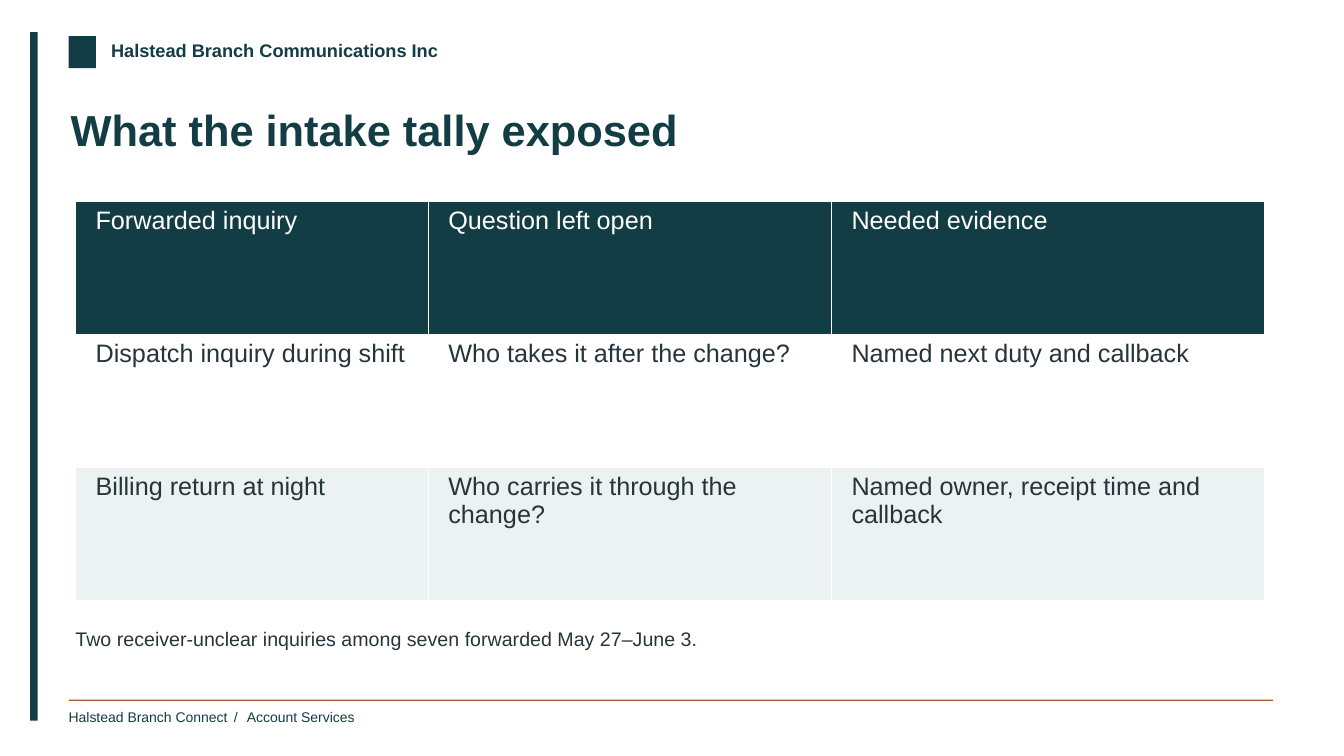
"""Build the intake tally slide with its letterhead, evidence table and footnote."""
from dataclasses import dataclass

import lxml.etree
import pptx
import pptx.dml.color
import pptx.enum.shapes
import pptx.enum.text
import pptx.oxml.ns
import pptx.util

Cm = pptx.util.Cm

COLOURS = {
    "teal": "133D45",
    "rust": "AF5636",
    "ink": "26353B",
    "white": "FFFFFF",
    "mist": "EBF2F1",
}
SEPARATOR = " / "
SEPARATOR_SPACING = "185"


@dataclass(frozen=True)
class Box:
    left: float
    top: float
    width: float
    height: float

    def lengths(self) -> tuple:
        return Cm(self.left), Cm(self.top), Cm(self.width), Cm(self.height)


@dataclass(frozen=True)
class Bar:
    box: Box
    colour: str


@dataclass(frozen=True)
class Wording:
    text: str
    size: int
    colour: str
    bold: bool = False


@dataclass(frozen=True)
class Label:
    box: Box
    wording: Wording


@dataclass(frozen=True)
class RowStyle:
    fill: str
    text: str


BARS = [
    Bar(Box(0.76, 0.81, 0.19, 17.35), "teal"),
    Bar(Box(1.73, 0.91, 0.69, 0.81), "teal"),
    Bar(Box(1.73, 17.63, 30.35, 0.03), "rust"),
]

LABELS = [
    Label(Box(2.8, 0.98, 9.02, 0.69),
          Wording("Halstead Branch Communications Inc", 13, "teal", True)),
    Label(Box(1.73, 17.86, 7.5, 0.58),
          Wording("Halstead Branch Connect / Account Services", 10, "teal")),
]

HEADLINE = Label(Box(1.78, 2.59, 30.23, 2.18),
                 Wording("What the intake tally exposed", 31, "teal", True))
FOOTNOTE = Label(
    Box(1.9, 15.8, 30.02, 1.12),
    Wording("Two receiver-unclear inquiries among seven forwarded May 27–June 3.", 14, "ink"))

EVIDENCE_BOX = Box(1.9, 5.08, 29.97, 10.06)
EVIDENCE_WIDTHS = [8.89, 10.16, 10.92]
EVIDENCE = [
    ["Forwarded inquiry", "Question left open", "Needed evidence"],
    ["Dispatch inquiry during shift", "Who takes it after the change?",
     "Named next duty and callback"],
    ["Billing return at night", "Who carries it through the change?",
     "Named owner, receipt time and callback"],
]
ROW_STYLES = [RowStyle("teal", "white"), RowStyle("white", "ink"), RowStyle("mist", "ink")]

FRAME_FORMAT = {
    "margin_left": 0,
    "margin_top": 0,
    "margin_right": 0,
    "margin_bottom": 0,
    "word_wrap": True,
    "auto_size": pptx.enum.text.MSO_AUTO_SIZE.NONE,
    "vertical_anchor": pptx.enum.text.MSO_ANCHOR.TOP,
}
CELL_FORMAT = {
    "margin_left": Cm(0.51),
    "margin_top": Cm(0.13),
    "margin_right": Cm(0.38),
    "margin_bottom": Cm(0.13),
    "vertical_anchor": pptx.enum.text.MSO_ANCHOR.TOP,
}


def rgb(colour: str) -> pptx.dml.color.RGBColor:
    return pptx.dml.color.RGBColor.from_string(COLOURS[colour])


def apply_format(target, values: dict) -> None:
    for attribute, value in values.items():
        setattr(target, attribute, value)


def write(frame, wording: Wording) -> None:
    paragraph = frame.paragraphs[0]
    apply_format(paragraph, {"alignment": pptx.enum.text.PP_ALIGN.LEFT,
                             "space_before": pptx.util.Pt(0)})
    for piece in filter(None, wording.text.partition(SEPARATOR)):
        run = paragraph.add_run()
        run.text = piece
        apply_format(run.font, {"name": "Arial", "size": pptx.util.Pt(wording.size),
                                "bold": wording.bold})
        run.font.color.rgb = rgb(wording.colour)
        if piece == SEPARATOR:
            run._r.get_or_add_rPr().set("spc", SEPARATOR_SPACING)


def draw_bar(slide, bar: Bar) -> None:
    rectangle = slide.shapes.add_shape(
        pptx.enum.shapes.MSO_SHAPE.RECTANGLE, *bar.box.lengths())
    rectangle.shadow.inherit = False
    rectangle.fill.solid()
    rectangle.fill.fore_color.rgb = rgb(bar.colour)
    rectangle.line.fill.background()


def fill_frame(holder, label: Label) -> None:
    apply_format(holder.text_frame, FRAME_FORMAT)
    write(holder.text_frame, label.wording)


def fill_placeholder(holder, label: Label) -> None:
    apply_format(holder, dict(zip(("left", "top", "width", "height"), label.box.lengths())))
    fill_frame(holder, label)


def remove_bullet(paragraph) -> None:
    properties = paragraph._p.get_or_add_pPr()
    for attribute in ("marL", "indent"):
        properties.set(attribute, "0")
    lxml.etree.SubElement(properties, pptx.oxml.ns.qn("a:buNone"))


def draw_evidence(slide) -> None:
    table = slide.shapes.add_table(
        len(EVIDENCE), len(EVIDENCE_WIDTHS), *EVIDENCE_BOX.lengths()).table
    table.horz_banding = False
    for column, width in zip(table.columns, EVIDENCE_WIDTHS):
        column.width = Cm(width)
    for row, texts, style in zip(table.rows, EVIDENCE, ROW_STYLES):
        for cell, text in zip(row.cells, texts):
            apply_format(cell, CELL_FORMAT)
            cell.fill.solid()
            cell.fill.fore_color.rgb = rgb(style.fill)
            write(cell.text_frame, Wording(text, 18, style.text))


def main() -> None:
    deck = pptx.Presentation()
    apply_format(deck, {"slide_width": Cm(33.87), "slide_height": Cm(19.05)})
    slide = deck.slides.add_slide(deck.slide_layouts[1])
    slide.background.fill.solid()
    slide.background.fill.fore_color.rgb = rgb("white")
    for bar in BARS:
        draw_bar(slide, bar)
    for label in LABELS:
        fill_frame(slide.shapes.add_textbox(*label.box.lengths()), label)
    fill_placeholder(slide.shapes.title, HEADLINE)
    footnote = slide.placeholders[1]
    remove_bullet(footnote.text_frame.paragraphs[0])
    fill_placeholder(footnote, FOOTNOTE)
    draw_evidence(slide)
    deck.save("out.pptx")


if __name__ == "__main__":
    main()
